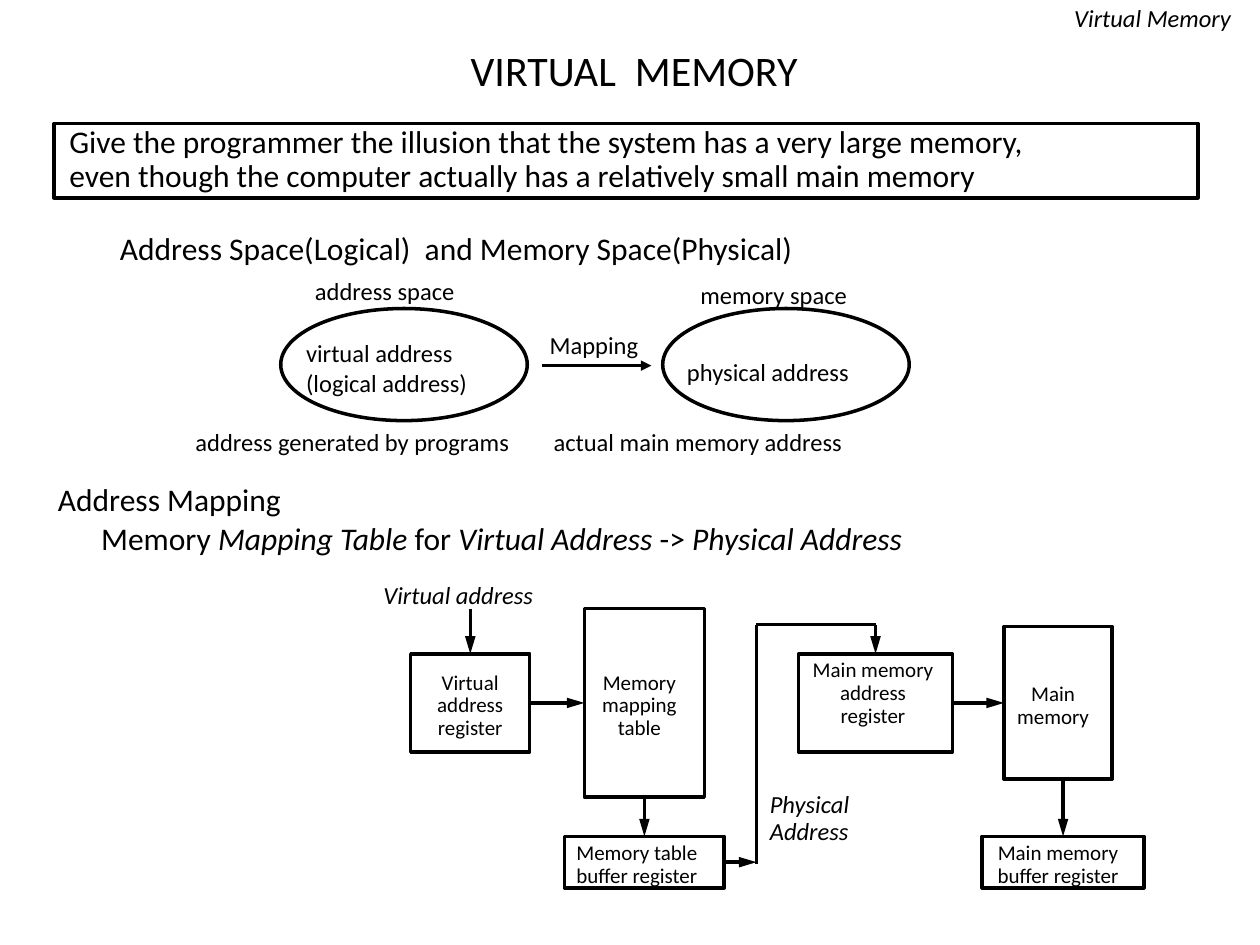
"""Build the virtual memory slide with its address mapping diagrams."""
from pptx import Presentation
from pptx import util as u
from pptx.dml.color import RGBColor
from pptx.enum import shapes, text
from pptx.oxml import ns, xmlchemy

BLACK = RGBColor(0, 0, 0)
FONT = "Calibri"
LINE_WIDTH = u.Pt(2)
TOP, LEFT, BOTTOM, RIGHT = 0, 1, 2, 3


def apply_format(target, values):
    """Set each named attribute of the target."""
    for name, value in values.items():
        setattr(target, name, value)


def write_text(frame, lines, size, spacing=1.0, align=text.PP_ALIGN.LEFT,
               anchor=text.MSO_ANCHOR.TOP, insets=(0.18, 0.08, 0.18, 0.08)):
    """Fill a text frame with lines in which underscores enclose italics."""
    margins = ("margin_left", "margin_top", "margin_right", "margin_bottom")
    apply_format(frame, {name: u.Cm(inset) for name, inset in zip(margins, insets)})
    apply_format(frame, {"word_wrap": True, "vertical_anchor": anchor})
    for index, line in enumerate(lines):
        para = frame.add_paragraph() if index else frame.paragraphs[0]
        apply_format(para, {"alignment": align, "line_spacing": spacing})
        for order, piece in enumerate(line.split("_")):
            if piece:
                span = para.add_run()
                span.text = piece
                apply_format(span.font, {"name": FONT, "size": u.Pt(size),
                                         "bold": False, "italic": order % 2 == 1})
                span.font.color.rgb = BLACK


def add_label(page, place, lines, size=14, **style):
    """Add a text box at a place given in centimetres."""
    box = page.shapes.add_textbox(*map(u.Cm, place))
    write_text(box.text_frame, lines, size, **style)
    return box


def add_outline(page, place, kind=shapes.MSO_SHAPE.RECTANGLE):
    """Add an unfilled shape with a black outline."""
    shape = page.shapes.add_shape(kind, *map(u.Cm, place))
    shape.shadow.inherit = False
    shape.fill.background()
    shape.line.color.rgb = BLACK
    shape.line.width = LINE_WIDTH
    return shape


def add_unit(page, place, lines, anchor=text.MSO_ANCHOR.MIDDLE, right=0.2):
    """Add a hardware unit with a centred caption."""
    unit = add_outline(page, place)
    write_text(unit.text_frame, lines, 12, spacing=0.9, anchor=anchor,
               align=text.PP_ALIGN.CENTER, insets=(0, 0.12, right, 0))
    return unit


def add_line(page, start, end, source=None, target=None, head="lg"):
    """Add a line, joined to (shape, side) pairs, with an optional arrowhead."""
    line = page.shapes.add_connector(shapes.MSO_CONNECTOR.STRAIGHT,
                                     *map(u.Cm, start + end))
    if source:
        line.begin_connect(*source)
    if target:
        line.end_connect(*target)
    line.line.color.rgb = BLACK
    line.line.width = LINE_WIDTH
    properties = line._element.spPr
    if head:
        outline = properties.find(ns.qn("a:ln"))
        tail = xmlchemy.OxmlElement("a:tailEnd")
        for name, value in {"type": "triangle", "w": "med", "len": head}.items():
            tail.set(name, value)
        outline.append(tail)
    properties.append(xmlchemy.OxmlElement("a:effectLst"))


def add_heading(page):
    """Add the running header, the title and the framed statement."""
    title = page.shapes.title
    apply_format(title, {"left": u.Cm(1.47), "top": u.Cm(0.76),
                         "width": u.Cm(22.63), "height": u.Cm(1.3)})
    write_text(title.text_frame, ["VIRTUAL  MEMORY"], 24,
               align=text.PP_ALIGN.CENTER, anchor=text.MSO_ANCHOR.MIDDLE)
    add_label(page, (20.93, 0.05, 4.07, 0.7), ["_Virtual Memory_"],
              spacing=0.9, align=text.PP_ALIGN.RIGHT)
    statement = add_outline(page, (1.09, 2.49, 23.06, 1.5))
    write_text(statement.text_frame, [
        "Give the programmer the illusion that the system has a very large memory,",
        "even though the computer actually has a relatively small main memory",
    ], 18, spacing=0.9, anchor=text.MSO_ANCHOR.MIDDLE, insets=(0.31, 0, 0.2, 0))


def add_spaces(page):
    """Add the address space, the memory space and the mapping between them."""
    add_label(page, (2.24, 4.52, 16.71, 0.91),
              ["Address Space(Logical)  and Memory Space(Physical)"], 18, spacing=1.02)
    for left in (5.66, 13.36):
        add_outline(page, (left, 6.22, 4.97, 2.26), shapes.MSO_SHAPE.OVAL)
    add_line(page, (10.92, 7.37), (13.13, 7.37), head="med")
    add_label(page, (5.99, 6.73, 4.27, 1.32),
              ["virtual address", "(logical address)"], spacing=1.01)
    for left, top, width, caption in (
        (13.67, 7.11, 4.34, "physical address"),
        (6.17, 5.49, 3.76, "address space"),
        (13.94, 5.56, 3.81, "memory space"),
        (3.76, 8.53, 7.1, "address generated by programs"),
        (10.98, 8.53, 6.8, "actual main memory address"),
        (10.9, 6.58, 2.36, "Mapping"),
    ):
        add_label(page, (left, top, width, 0.71), [caption])


def add_mapping(page):
    """Add the address mapping text and the register diagram."""
    box = add_label(page, (0.99, 9.6, 20.57, 1.68), [
        "Address Mapping",
        "Memory _Mapping Table_ for _Virtual Address_ -> _Physical Address_",
    ], 18, spacing=1.01)
    box.text_frame.paragraphs[1]._p.get_or_add_pPr().set("marL", str(u.Cm(0.87)))
    add_label(page, (7.55, 11.68, 3.9, 0.7), ["_Virtual address_"], spacing=0.9)
    add_label(page, (15.34, 15.9, 2.4, 1.2), ["_Physical_", "_Address_"], spacing=0.9)

    virtual = add_unit(page, (8.28, 13.18, 2.4, 1.98),
                       ["Virtual", "address", "register"], right=0)
    table = add_unit(page, (11.78, 12.27, 2.42, 3.8), ["Memory", "mapping", "table"])
    table_buffer = add_unit(page, (11.38, 16.86, 3.22, 1.04),
                            ["Memory table", "buffer register"], right=0.3)
    address = add_unit(page, (16.1, 13.18, 3.1, 1.98),
                       ["Main memory", "address", "register"],
                       anchor=text.MSO_ANCHOR.TOP, right=0.1)
    memory = add_unit(page, (20.24, 12.63, 2.18, 3.08), ["Main", "memory"])
    memory_buffer = add_unit(page, (19.8, 16.86, 3.26, 1.04),
                             ["Main memory", "buffer register"])

    add_line(page, (9.48, 12.27), (9.48, 13.18), target=(virtual, TOP))
    add_line(page, (10.68, 14.17), (11.78, 14.17), (virtual, RIGHT), (table, LEFT))
    add_line(page, (12.99, 16.07), (12.99, 16.86), (table, BOTTOM), (table_buffer, TOP))
    add_line(page, (14.6, 17.38), (15.25, 17.38), (table_buffer, RIGHT))
    add_line(page, (15.25, 17.42), (15.25, 12.59), head=None)
    add_line(page, (15.25, 12.59), (17.65, 12.59), head=None)
    add_line(page, (17.65, 12.59), (17.65, 13.18), target=(address, TOP))
    add_line(page, (19.2, 14.17), (20.24, 14.17), (address, RIGHT), (memory, LEFT))
    add_line(page, (21.43, 15.71), (21.43, 16.86), target=(memory_buffer, TOP))


def main():
    """Create the deck and save it."""
    deck = Presentation()
    apply_format(deck, {"slide_width": u.Cm(25.4), "slide_height": u.Cm(19.05)})
    page = deck.slides.add_slide(deck.slide_layouts.get_by_name("Title Only"))
    add_heading(page)
    add_spaces(page)
    add_mapping(page)
    deck.save("out.pptx")


if __name__ == "__main__":
    main()
